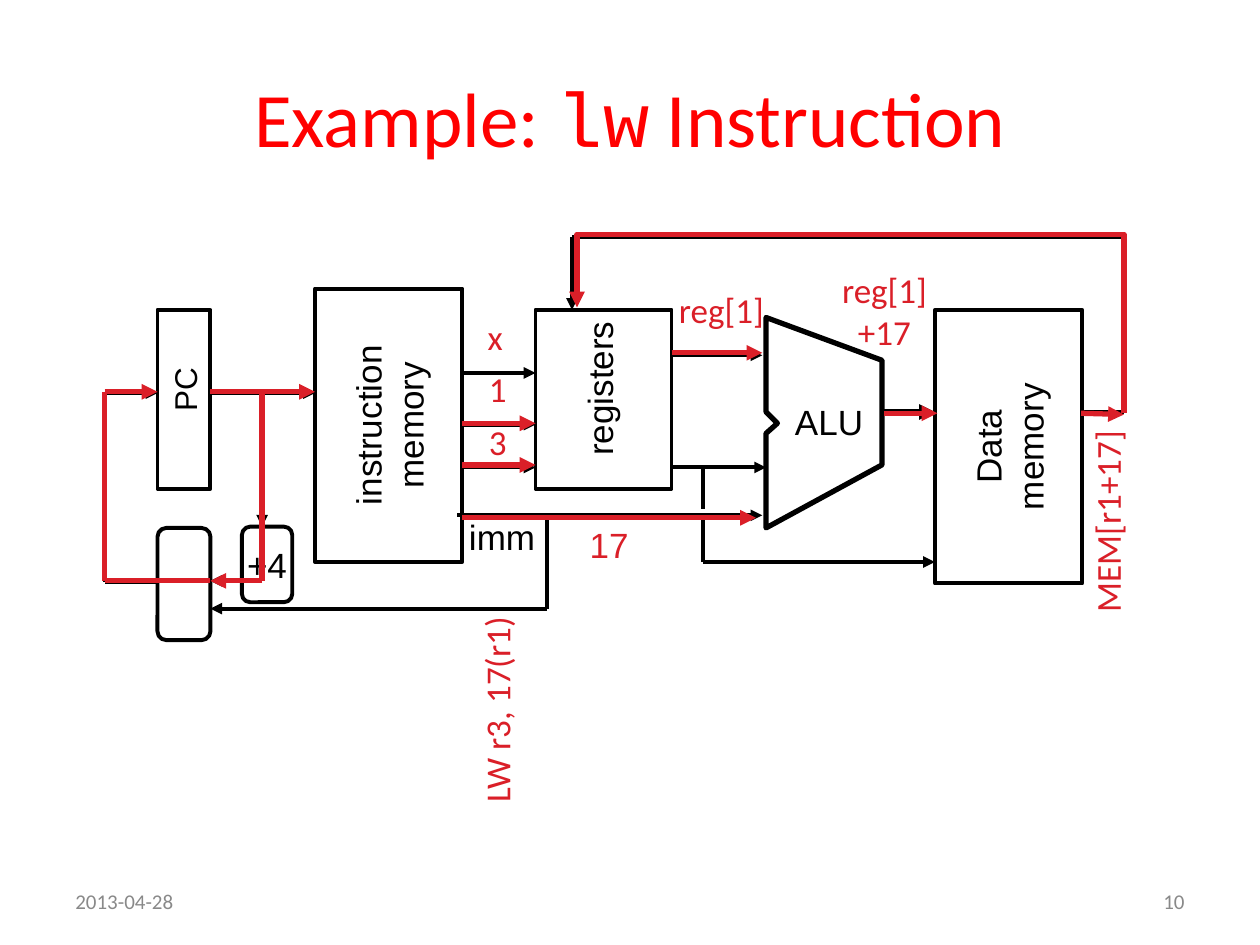
import pptx
import pptx.util
import pptx.dml.color
import pptx.enum.shapes
import pptx.enum.text
import pptx.oxml.ns
import lxml.etree

SCALE = 9144
BLACK, RED, WHITE, GRAY = "000000", "DA1F28", "FFFFFF", "898989"
KIND = pptx.enum.shapes.MSO_SHAPE
ALIGN = pptx.enum.text.PP_ALIGN
LEFT, MID, RIGHT = ALIGN.LEFT, ALIGN.CENTER, ALIGN.RIGHT
qn = pptx.oxml.ns.qn


def px(*nums):
    return [pptx.util.Emu(n * SCALE) for n in nums]


def tint(code):
    return pptx.dml.color.RGBColor.from_string(code)


class Sketch:
    font = "Arial"
    size = 20
    thin = 2.25
    thick = 3

    def __init__(self, slide):
        self.slide = slide
        self.shapes = slide.shapes

    def pen(self, item, color, width, arrow=False):
        item.line.color.rgb = tint(color)
        item.line.width = pptx.util.Pt(width)
        if arrow:
            line = item._element.spPr.find(qn("a:ln"))
            lxml.etree.SubElement(line, qn("a:tailEnd"), type="triangle")

    def letter(self, item, text, color=BLACK, font=None, size=None, align=MID):
        frame = item.text_frame
        frame.text = text
        frame.word_wrap = False
        frame.vertical_anchor = pptx.enum.text.MSO_ANCHOR.MIDDLE
        for para in frame.paragraphs:
            para.alignment = align
            for run in para.runs:
                self.style(run, color, font, size)

    def style(self, run, color, font=None, size=None):
        run.font.name = font or self.font
        run.font.size = pptx.util.Pt(size or self.size)
        run.font.color.rgb = tint(color)

    def box(self, left, top, width, height, text="", kind=KIND.RECTANGLE,
            turn=0, fill=WHITE):
        item = self.shapes.add_shape(kind, *px(left, top, width, height))
        item.shadow.inherit = False
        item.rotation = turn
        if fill:
            item.fill.solid()
            item.fill.fore_color.rgb = tint(fill)
        else:
            item.fill.background()
        self.pen(item, BLACK, self.thin)
        if text:
            self.letter(item, text)
        return item

    def label(self, left, top, width, height, text, color=BLACK, font=None,
              size=None, turn=0, align=MID):
        item = self.shapes.add_textbox(*px(left, top, width, height))
        item.rotation = turn
        self.letter(item, text, color, font, size, align)
        return item

    def title(self, left, top, width, height, parts, color, size):
        item = self.label(left, top, width, height, "")
        for text, font in parts:
            run = item.text_frame.paragraphs[0].add_run()
            run.text = text
            self.style(run, color, font, size)

    def wire(self, *spots, color=BLACK, width=None, arrow=True, start=None):
        width = width or (self.thin if color == BLACK else self.thick)
        last = len(spots) - 2
        for step, (head, tail) in enumerate(zip(spots, spots[1:])):
            item = self.shapes.add_connector(
                pptx.enum.shapes.MSO_CONNECTOR.STRAIGHT, *px(*head, *tail))
            if start and step == 0:
                item.begin_connect(*start)
                item.begin_x, item.begin_y = px(*head)
            self.pen(item, color, width, arrow and step == last)
            lxml.etree.SubElement(item._element.spPr, qn("a:effectLst"))

    def shape(self, spots, color, closed, arrow=False):
        build = self.shapes.build_freeform(*spots[0], scale=SCALE)
        build.add_line_segments(spots[1:], close=closed)
        item = build.convert_to_shape()
        item.shadow.inherit = False
        item.fill.background()
        self.pen(item, color, self.thick, arrow)


def draw(art):
    art.shape([(608, 252), (700, 286), (700, 369), (608, 419),
               (608, 344), (617, 336), (608, 327)], BLACK, True)
    art.wire((700, 327), (742, 327), width=art.thick)
    art.label(621, 313, 74, 43, "ALU")

    art.box(125, 246, 42, 142, fill=None)
    code = art.box(200, 279, 217, 117, "instruction\nmemory", turn=270)
    art.box(192, 418, 40, 60, "+4", KIND.ROUNDED_RECTANGLE)
    art.wire((167, 312), (250, 312))
    art.box(425, 246, 108, 142)
    art.wire((367, 337), (425, 337), start=(code, 2))
    for y in (296, 371):
        art.wire((367, y), (425, y))
    art.label(412, 287, 127, 43, "registers", turn=270)
    art.wire((533, 371), (608, 371))
    art.wire((363, 409), (605, 409))
    art.wire((533, 282), (605, 282))
    art.box(692, 296, 217, 117, "Data\nmemory", turn=270)
    art.wire((558, 371), (558, 404), arrow=False)
    art.wire((558, 412), (558, 446), (742, 446))
    art.wire((858, 327), (892, 327), (892, 188), (454, 188), (454, 246))
    art.label(362, 404, 73, 43, "imm")
    art.wire((208, 312), (208, 418))
    art.box(125, 419, 42, 89, kind=KIND.ROUNDED_RECTANGLE)
    art.wire((192, 461), (167, 461))
    art.wire((434, 409), (434, 483), (167, 483))
    art.wire((125, 462), (83, 462), (83, 312), (125, 312))

    for spots in (
        [(167, 311), (250, 311)],
        [(702, 328), (744, 328)],
        [(367, 336), (425, 336)],
        [(367, 369), (425, 369)],
        [(367, 411), (600, 411)],
        [(533, 280), (605, 280)],
        [(858, 328), (892, 329)],
        [(208, 313), (208, 461), (167, 461)],
        [(167, 461), (83, 461), (83, 311), (125, 311)],
    ):
        art.wire(*spots, color=RED)
    art.shape([(892, 328), (892, 186), (458, 186), (458, 244)],
              RED, False, True)

    for left, top, width, height, text, turn in (
        (377, 329, 36, 43, "3", 0),
        (377, 287, 36, 43, "1", 0),
        (377, 245, 32, 44, "x", 0),
        (310, 541, 168, 44, "LW r3, 17(r1)", 270),
        (658, 208, 88, 77, "reg[1]\v+17", 0),
        (527, 224, 91, 43, "reg[1]", 0),
        (796, 392, 165, 44, "MEM[r1+17]", 270),
    ):
        art.label(left, top, width, height, text, RED, "Calibri", turn=turn)
    art.label(458, 411, 51, 43, "17", RED)

    art.title(50, 30, 900, 125, [("Example: ", "Calibri"),
              ("lw", "Courier New"), (" Instruction", "Calibri")],
              "FF0000", 44)
    art.label(119, 289, 55, 40, "PC", size=18, turn=270)
    for left, text, align in ((50, "2013-04-28", LEFT), (717, "10", RIGHT)):
        foot = art.label(left, 695, 233, 40, text, GRAY, "Calibri", 12,
                         align=align)
        foot.text_frame.word_wrap = True


def main():
    deck = pptx.Presentation()
    deck.slide_width, deck.slide_height = px(1000, 750)
    draw(Sketch(deck.slides.add_slide(deck.slide_layouts[6])))
    deck.save("out.pptx")


if __name__ == "__main__":
    main()
